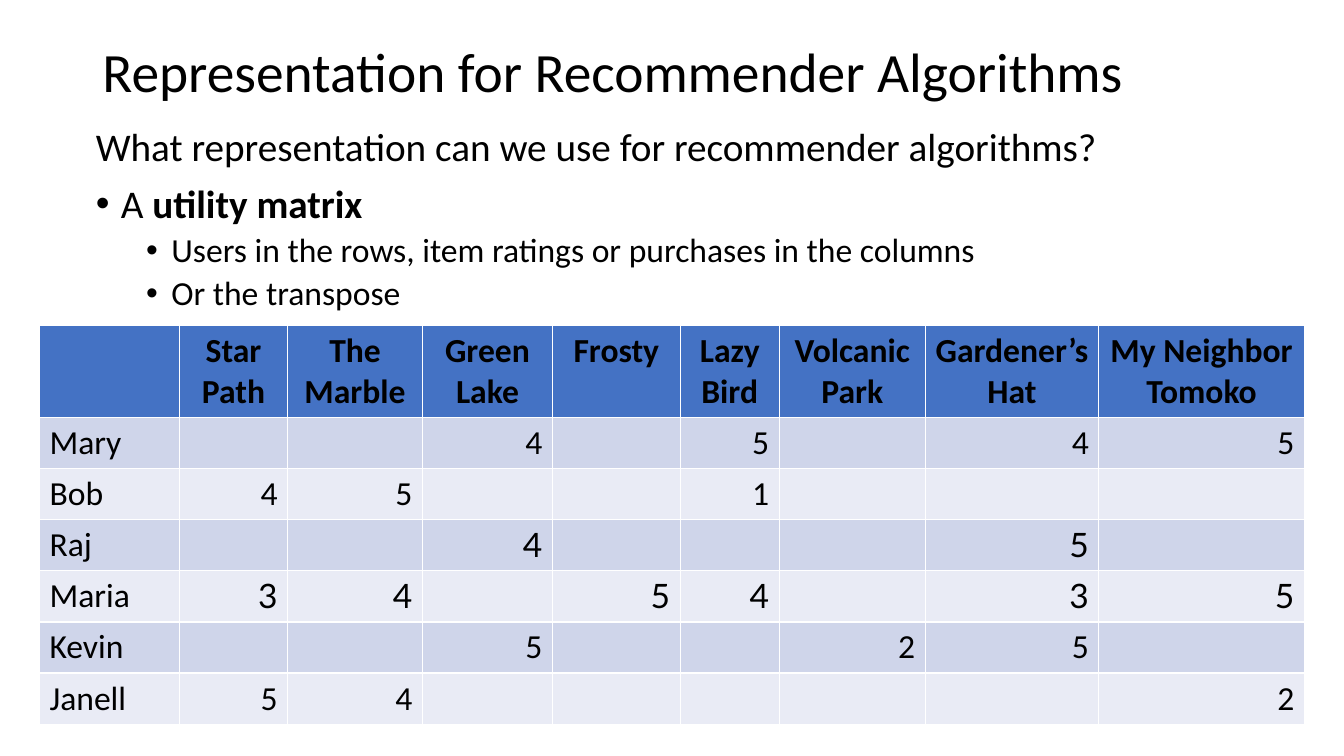
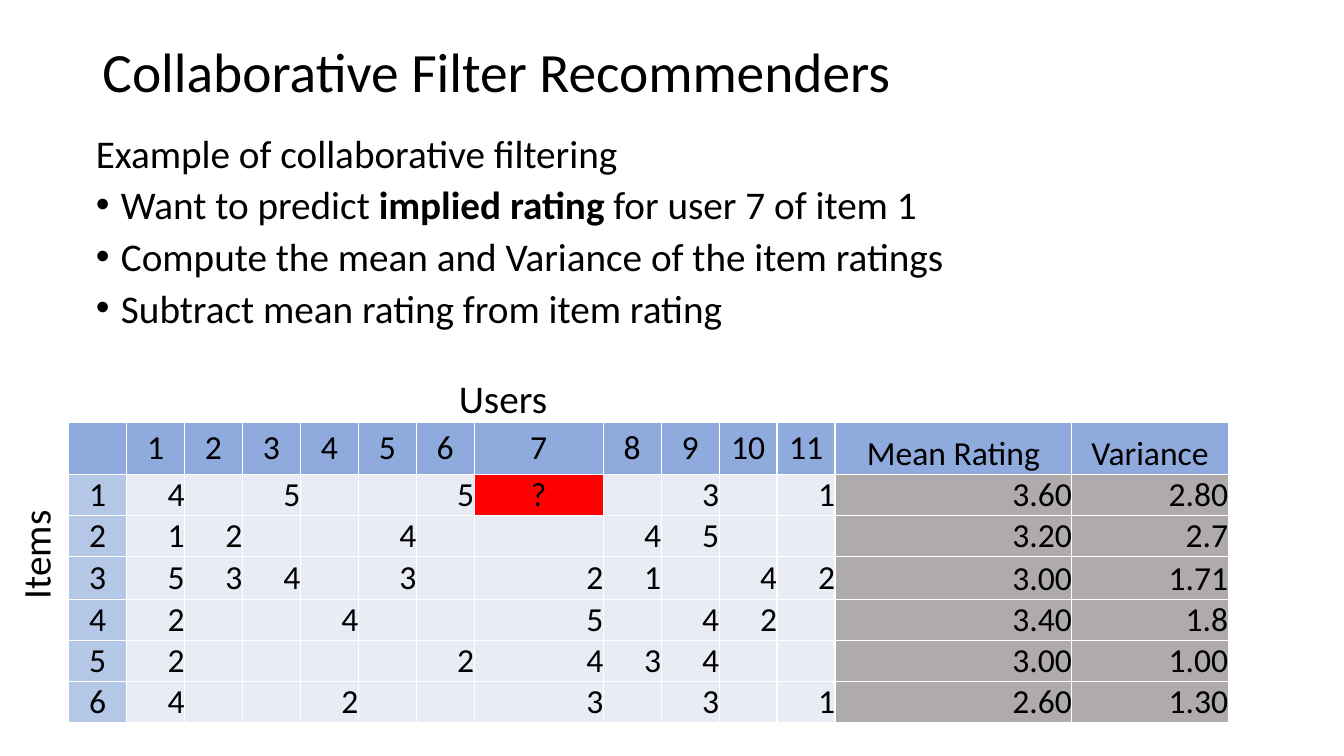
import pptx
import pptx.dml.color
import pptx.enum.text
import pptx.oxml
import pptx.oxml.ns
import pptx.util

Pt = pptx.util.Pt
ALIGN = pptx.enum.text.PP_ALIGN
ANCHOR = pptx.enum.text.MSO_ANCHOR

COLOURS = {
    "text": "000000",
    "header": "4472C4",
    "band_dark": "CFD5EA",
    "band_light": "E9EBF5",
    "user_header": "8FAADC",
    "item_header": "B4C7E7",
    "unknown": "FF0000",
    "statistic": "AFABAB",
}
FONT = "Calibri"
DIGIT_FONT = "Lato"
TITLE_SIZE, BODY_SIZE, DETAIL_SIZE = 39.6, 28, 24

FILMS = ["Star\nPath", "The\nMarble", "Green\nLake", "Frosty", "Lazy\nBird",
         "Volcanic\nPark", "Gardener’s\nHat", "My Neighbor\nTomoko"]
FILM_RATINGS = {
    "Mary": {3: 4, 5: 5, 7: 4, 8: 5},
    "Bob": {1: 4, 2: 5, 5: 1},
    "Raj": {3: 4, 7: 5},
    "Maria": {1: 3, 2: 4, 4: 5, 5: 4, 7: 3, 8: 5},
    "Kevin": {3: 5, 6: 2, 7: 5},
    "Janell": {1: 5, 2: 4, 8: 2},
}
FILM_WIDTHS = [100, 77.3, 96.3, 92.9, 91.3, 70.7, 104.3, 124, 146.8]

USER_COUNT = 11
ITEM_RATINGS = [
    {1: 4, 3: 5, 6: 5, 7: "?", 9: 3, 11: 1},
    {1: 1, 2: 2, 5: 4, 8: 4, 9: 5},
    {1: 5, 2: 3, 3: 4, 5: 3, 7: 2, 8: 1, 10: 4, 11: 2},
    {1: 2, 4: 4, 7: 5, 9: 4, 10: 2},
    {1: 2, 6: 2, 7: 4, 8: 3, 9: 4},
    {1: 4, 4: 2, 7: 3, 9: 3, 11: 1},
]
ITEM_STATISTICS = [("3.60", "2.80"), ("3.20", "2.7"), ("3.00", "1.71"),
                   ("3.40", "1.8"), ("3.00", "1.00"), ("2.60", "1.30")]
ITEM_WIDTHS = [41.4] * 7 + [92.2] + [41.4] * 4 + [169.2, 111.6]


def colour(name):
    """Return the named colour."""
    return pptx.dml.color.RGBColor.from_string(COLOURS[name])


def add_run(paragraph, text, size, bold=False, font=FONT):
    """Add one formatted run to a paragraph."""
    run = paragraph.add_run()
    run.text = text
    run.font.name = font
    run.font.size = Pt(size)
    run.font.bold = bold
    run.font.color.rgb = colour("text")


def place(shape, left, top, width, height):
    """Move and size a shape, in points."""
    shape.left, shape.top = Pt(left), Pt(top)
    shape.width, shape.height = Pt(width), Pt(height)


def paragraphs_for(frame, count):
    """Yield the given number of paragraphs from an empty text frame."""
    for index in range(count):
        yield frame.add_paragraph() if index else frame.paragraphs[0]


def set_bullet(paragraph, margin):
    """Give a paragraph a hanging bullet, or none when margin is None."""
    properties = paragraph._p.get_or_add_pPr()
    properties.set("marL", str(Pt(margin or 0)))
    properties.set("indent", str(Pt(0 if margin is None else -18)))
    tags = ['<a:buNone {}/>'] if margin is None else [
        '<a:buFont {} typeface="Arial"/>', '<a:buChar {} char="•"/>']
    for tag in tags:
        properties.append(pptx.oxml.parse_xml(tag.format(pptx.oxml.ns.nsdecls("a"))))


def add_slide(presentation, title):
    """Add a slide with the shared title style."""
    slide = presentation.slides.add_slide(presentation.slide_layouts[1])
    shape = slide.shapes.title
    place(shape, 66, 29, 828, 49)
    frame = shape.text_frame
    frame.auto_size = pptx.enum.text.MSO_AUTO_SIZE.NONE
    frame.vertical_anchor = ANCHOR.MIDDLE
    paragraph = frame.paragraphs[0]
    paragraph.alignment = ALIGN.LEFT
    paragraph.line_spacing = 0.9
    add_run(paragraph, title, TITLE_SIZE)
    return slide


def fill_body(slide, top, height, line_spacing, lines):
    """Write (level, runs) lines, where level None is plain and odd runs are bold."""
    shape = slide.placeholders[1]
    place(shape, 61.2, top, 828, height)
    frame = shape.text_frame
    frame.auto_size = pptx.enum.text.MSO_AUTO_SIZE.NONE
    for paragraph, (level, runs) in zip(paragraphs_for(frame, len(lines)), lines):
        paragraph.level = level or 0
        paragraph.line_spacing = line_spacing
        paragraph.space_before = Pt(5 if level else 10)
        set_bullet(paragraph, None if level is None else 18 + 36 * level)
        for index, text in enumerate(runs):
            add_run(paragraph, text, DETAIL_SIZE if level else BODY_SIZE, index % 2 == 1)


def add_label(slide, text, left, top, rotation=0):
    """Add a centred axis label."""
    shape = slide.shapes.add_textbox(Pt(left), Pt(top), Pt(79.2), Pt(41))
    shape.rotation = rotation
    shape.text_frame.word_wrap = True
    paragraph = shape.text_frame.paragraphs[0]
    paragraph.alignment = ALIGN.CENTER
    add_run(paragraph, text, BODY_SIZE)


def add_grid(slide, left, top, widths, heights):
    """Add an empty table without banding and return it."""
    frame = slide.shapes.add_table(len(heights), len(widths), Pt(left), Pt(top),
                                   Pt(sum(widths)), Pt(sum(heights)))
    table = frame.table
    table.horz_banding = False
    for column, width in zip(table.columns, widths):
        column.width = Pt(width)
    for row, height in zip(table.rows, heights):
        row.height = Pt(height)
    return table


def write_cell(cell, text, fill, alignment=ALIGN.RIGHT, bold=False, font=FONT):
    """Fill a cell and write its text, one paragraph a line."""
    cell.fill.solid()
    cell.fill.fore_color.rgb = colour(fill)
    lines = str(text).split("\n") if text != "" else []
    for paragraph, line in zip(paragraphs_for(cell.text_frame, len(lines)), lines):
        paragraph.alignment = alignment
        add_run(paragraph, line, DETAIL_SIZE, bold, font)


def set_tight(cell, anchor):
    """Remove a cell's margins and anchor its text."""
    cell.margin_left = cell.margin_right = cell.margin_top = cell.margin_bottom = 0
    cell.vertical_anchor = anchor


def add_film_table(slide):
    """Add the utility matrix of users and films."""
    table = add_grid(slide, 28.2, 232.4, FILM_WIDTHS, [65] + [36.5] * len(FILM_RATINGS))
    for column, film in enumerate([""] + FILMS):
        write_cell(table.cell(0, column), film, "header", ALIGN.CENTER, True)
    for row, (user, ratings) in enumerate(FILM_RATINGS.items(), 1):
        fill = "band_dark" if row % 2 else "band_light"
        font = DIGIT_FONT if user in ("Raj", "Maria") else FONT
        write_cell(table.cell(row, 0), user, fill, ALIGN.LEFT)
        for column in range(1, len(FILM_WIDTHS)):
            write_cell(table.cell(row, column), ratings.get(column, ""), fill, font=font)


def add_item_table(slide):
    """Add the item ratings with their mean and variance."""
    heights = [37, 29.3, 29.3, 31, 29.3, 29.3, 29.3]
    table = add_grid(slide, 49, 301.8, ITEM_WIDTHS, heights)
    table.first_row = False
    users = range(1, USER_COUNT + 1)
    headings = ["", *users, "Mean Rating", "Variance"]
    for column, heading in enumerate(headings):
        cell = table.cell(0, column)
        write_cell(cell, heading, "user_header", ALIGN.CENTER)
        set_tight(cell, ANCHOR.BOTTOM if column > USER_COUNT else ANCHOR.MIDDLE)
    for row, (ratings, statistics) in enumerate(zip(ITEM_RATINGS, ITEM_STATISTICS), 1):
        values = [row, *(ratings.get(user, "") for user in users), *statistics]
        for column, value in enumerate(values):
            cell = table.cell(row, column)
            fill, alignment, anchor = "band_light", ALIGN.RIGHT, ANCHOR.MIDDLE
            if column == 0:
                fill, alignment = "item_header", ALIGN.CENTER
            elif column > USER_COUNT:
                fill, anchor = "statistic", ANCHOR.BOTTOM
            elif value == "?":
                fill, alignment, anchor = "unknown", ALIGN.CENTER, ANCHOR.TOP
            write_cell(cell, value, fill, alignment)
            set_tight(cell, anchor)


def build_representation(presentation):
    """Build the utility matrix slide."""
    slide = add_slide(presentation, "Representation for Recommender Algorithms")
    fill_body(slide, 87.8, 436, 0.9, [
        (None, ["What representation can we use for recommender algorithms?"]),
        (0, ["A ", "utility matrix"]),
        (1, ["Users in the rows, item ratings or purchases in the columns"]),
        (1, ["Or the transpose"]),
    ])
    add_film_table(slide)


def build_collaborative_filter(presentation):
    """Build the collaborative filtering slide."""
    slide = add_slide(presentation, "Collaborative Filter Recommenders")
    fill_body(slide, 95, 157.7, 0.8, [
        (None, ["Example of collaborative filtering"]),
        (0, ["Want to predict ", "implied rating", " for user 7 of item 1"]),
        (0, ["Compute the mean and Variance of the item ratings"]),
        (0, ["Subtract mean rating from item rating"]),
    ])
    add_label(slide, "Items", -14.4, 375.8, 270)
    add_label(slide, "Users", 319.7, 263.5)
    add_item_table(slide)


def main():
    """Build and save the presentation."""
    presentation = pptx.Presentation()
    presentation.slide_width, presentation.slide_height = Pt(960), Pt(540)
    build_representation(presentation)
    build_collaborative_filter(presentation)
    presentation.save("out.pptx")


if __name__ == "__main__":
    main()
